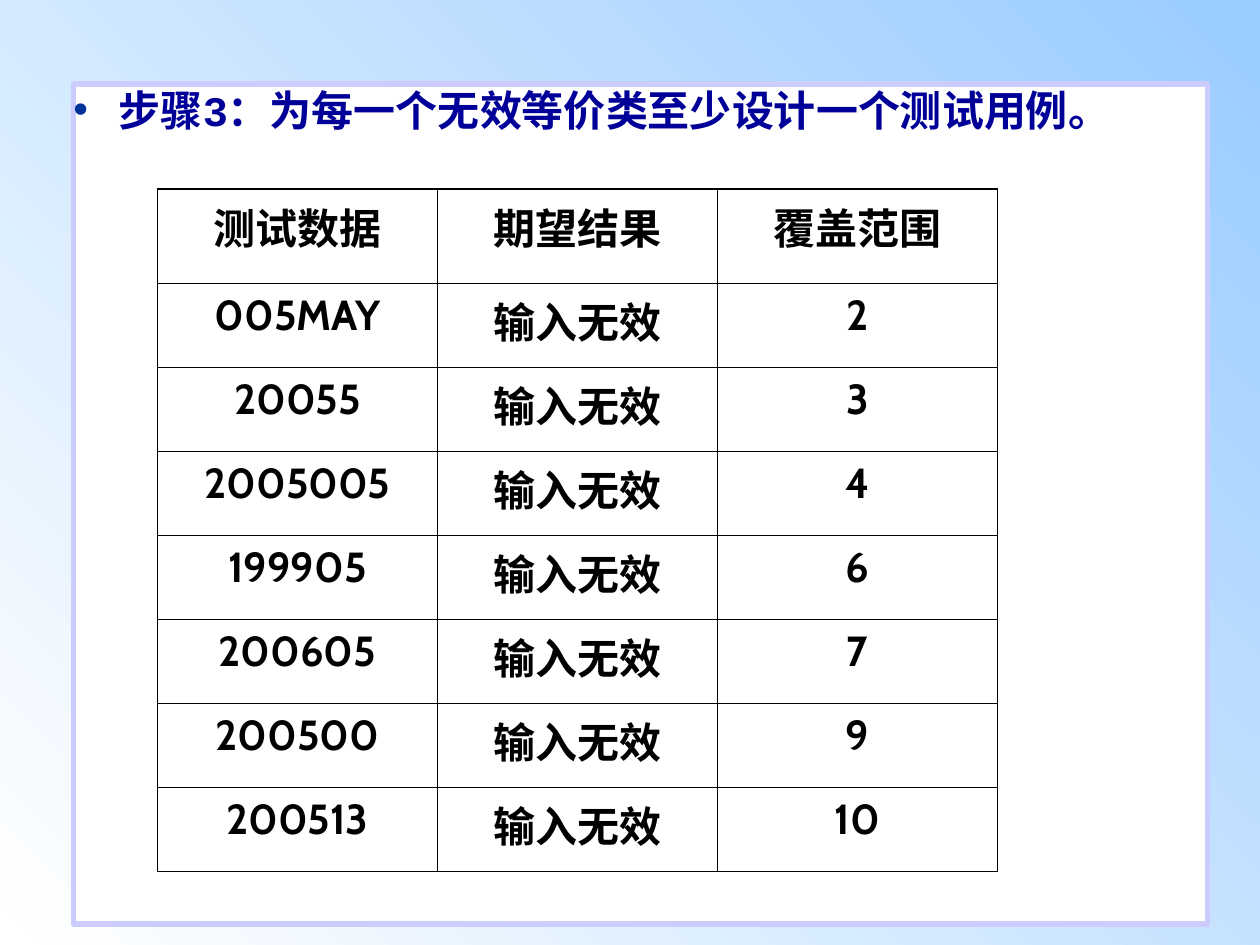
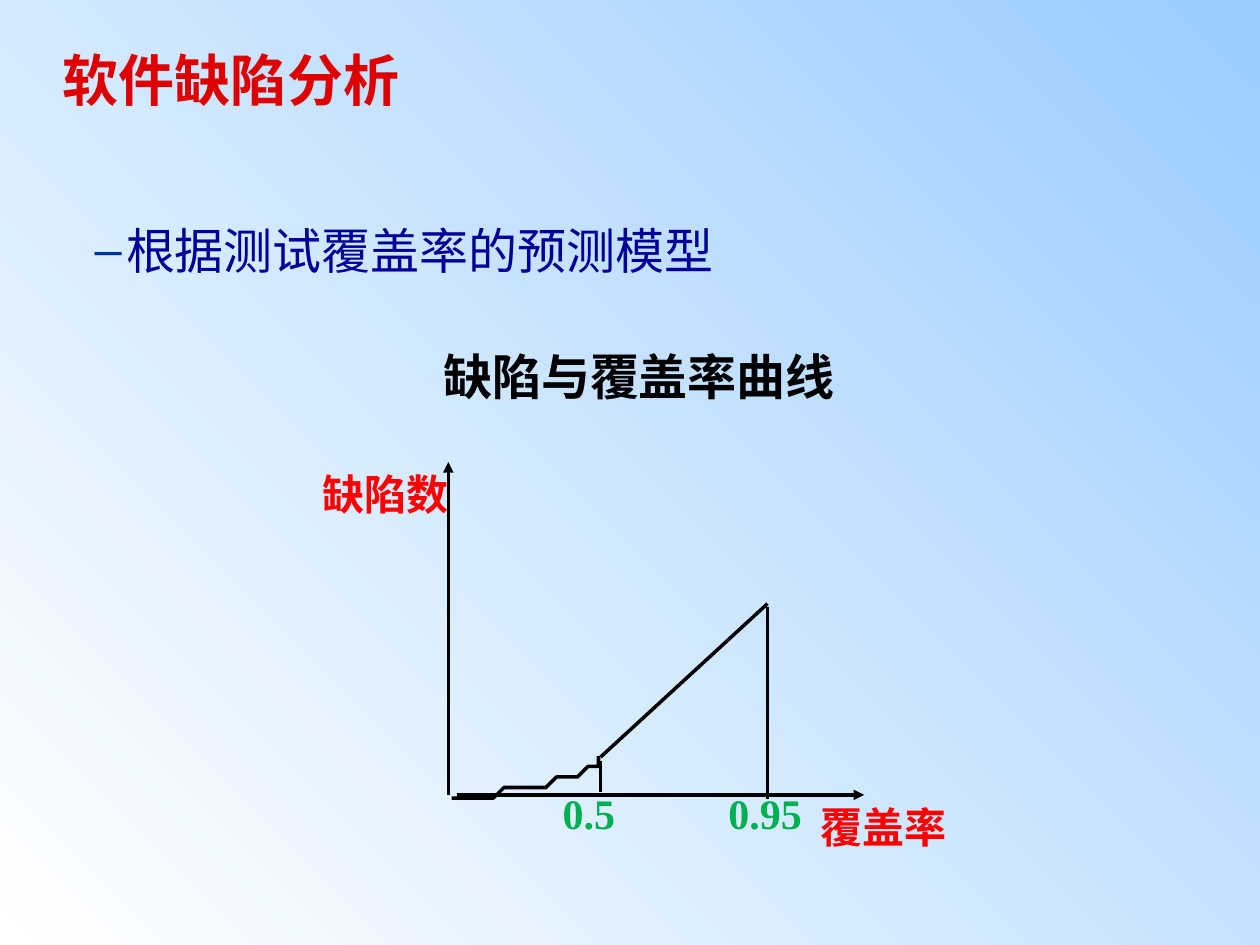
"""Build two slides: a table of invalid-class test cases and a defect-coverage curve."""
import lxml.etree
import pptx
import pptx.dml.color
import pptx.enum.shapes
import pptx.enum.text
import pptx.oxml
import pptx.oxml.ns
import pptx.util

NAVY, BULLET, BLACK, WHITE = "000099", "003399", "000000", "FFFFFF"
TITLE_RED, LABEL_RED, GREEN = "DE0000", "FF0000", "00B050"
SKY, FRAME = "99CCFF", "CCCCFF"
HEADING_FONT, TABLE_FONT, CHART_FONT = "Courier New", "Cabin", "Times New Roman"
TOP, MIDDLE = pptx.enum.text.MSO_ANCHOR.TOP, pptx.enum.text.MSO_ANCHOR.MIDDLE
LEFT, CENTER, JUSTIFY = (pptx.enum.text.PP_ALIGN.LEFT, pptx.enum.text.PP_ALIGN.CENTER,
                         pptx.enum.text.PP_ALIGN.JUSTIFY)
DRAWING = pptx.oxml.ns.nsdecls("a")


def color(value):
    return pptx.dml.color.RGBColor.from_string(value)


def write(frame, text, size, font, ink, bold=True, align=LEFT, before=0,
          anchor=TOP, inset=(0, 0), bullet=None, hang=(0, 0)):
    frame.word_wrap = True
    frame.vertical_anchor = anchor
    frame.margin_left = frame.margin_right = pptx.util.Inches(inset[0])
    frame.margin_top = frame.margin_bottom = pptx.util.Inches(inset[1])
    para = frame.paragraphs[0]
    para.text = text
    para.alignment = align
    para.space_before = pptx.util.Pt(before)
    para.font.size = pptx.util.Pt(size)
    para.font.name = font
    para.font.bold = bold
    para.font.color.rgb = color(ink)
    if bullet:
        properties = para._p.get_or_add_pPr()
        properties.set("marL", str(pptx.util.Inches(hang[0])))
        properties.set("indent", str(-pptx.util.Inches(hang[1])))
        marks = pptx.oxml.parse_xml(
            f'<a:pPr {DRAWING}><a:buClr><a:srgbClr val="{BULLET}"/></a:buClr>'
            f'<a:buFont typeface="Arial"/><a:buChar char="{bullet}"/></a:pPr>')
        position = list(properties).index(properties.find(pptx.oxml.ns.qn("a:defRPr")))
        properties[position:position] = list(marks)


deck = pptx.Presentation()
deck.slide_width = pptx.util.Inches(10)
deck.slide_height = pptx.util.Inches(7.5)
unit = deck.slide_width // 120

pages = []
for number in range(2):
    page = deck.slides.add_slide(deck.slide_layouts[6])
    backdrop = page.background.fill
    backdrop.gradient()
    backdrop.gradient_angle = 225
    for stop, position, tint in zip(backdrop.gradient_stops, (0, 1), (SKY, WHITE)):
        stop.position = position
        stop.color.rgb = color(tint)
    pages.append(page)
case_page, defect_page = pages

panel = case_page.shapes.add_shape(
    pptx.enum.shapes.MSO_SHAPE.RECTANGLE, 7 * unit, 8 * unit, 108 * unit, 80 * unit)
panel.shadow.inherit = False
panel.fill.solid()
panel.fill.fore_color.rgb = color(WHITE)
panel.line.color.rgb = color(FRAME)
panel.line.width = pptx.util.Pt(3)
write(panel.text_frame, "步骤3：为每一个无效等价类至少设计一个测试用例。", 24,
      HEADING_FONT, NAVY, before=7, bullet="•", hang=(0.36, 0.36))

invalid_cases = [("005MAY", "2"), ("20055", "3"), ("2005005", "4"), ("199905", "6"),
                 ("200605", "7"), ("200500", "9"), ("200513", "10")]
rows = [("测试数据", "期望结果", "覆盖范围")]
rows += [(data, "输入无效", covered) for data, covered in invalid_cases]
table = case_page.shapes.add_table(
    len(rows), 3, 15 * unit, 18 * unit, 80 * unit, 65 * unit).table
table.first_row = table.horz_banding = False
for column in table.columns:
    column.width = 80 * unit // 3
for row_index, row in enumerate(rows):
    table.rows[row_index].height = (8 if row_index else 9) * unit
    for column_index, text in enumerate(row):
        cell = table.cell(row_index, column_index)
        write(cell.text_frame, text, 24, TABLE_FONT, BLACK, align=CENTER,
              before=6, inset=(0.1, 0.05))
        cell.fill.solid()
        cell.fill.fore_color.rgb = color(WHITE)
        outer_sides = {"L": column_index == 0, "R": column_index == 2,
                       "T": row_index == 0, "B": row_index == len(rows) - 1}
        for order, (side, is_outer) in enumerate(outer_sides.items()):
            width = pptx.util.Pt(1.08 if is_outer else 0.45)
            cell._tc.get_or_add_tcPr().insert(order, pptx.oxml.parse_xml(
                f'<a:ln{side} {DRAWING} w="{width}"><a:solidFill>'
                f'<a:srgbClr val="{BLACK}"/></a:solidFill></a:ln{side}>'))

heading = defect_page.shapes.add_textbox(6 * unit, 0, 108 * unit, 15 * unit)
write(heading.text_frame, "软件缺陷分析", 32, HEADING_FONT, TITLE_RED, anchor=MIDDLE)
topic = defect_page.shapes.add_textbox(6 * unit, 21 * unit, 106 * unit, 66 * unit)
write(topic.text_frame, "根据测试覆盖率的预测模型", 28, HEADING_FONT, NAVY,
      bold=False, bullet="–", hang=(0.5, 0.25))

origin_x, axis_y = 42.7, 75.7
half_x, half_y = 57.2, 72.1
full_x, full_y = 73.1, 57.5
chart_lines = [
    (origin_x + 0.8, axis_y, 82.3, axis_y, True),
    (origin_x, axis_y, origin_x, 44, True),
    (half_x, half_y, full_x, full_y, False),
    (half_x, half_y + 0.4, half_x, axis_y - 0.3, False),
    (full_x, full_y + 0.3, full_x, axis_y + 0.4, False),
]
for *ends, has_arrow in chart_lines:
    line = defect_page.shapes.add_connector(
        pptx.enum.shapes.MSO_CONNECTOR.STRAIGHT, *[round(end * unit) for end in ends])
    line.line.color.rgb = color(BLACK)
    line.line.width = pptx.util.Pt(2)
    if has_arrow:
        lxml.etree.SubElement(line.line._get_or_add_ln(),
                              pptx.oxml.ns.qn("a:tailEnd"), type="triangle")
    lxml.etree.SubElement(line._element.spPr, pptx.oxml.ns.qn("a:effectLst"))

controls = [(origin_x, axis_y), (49.4, axis_y), (55.4, 74.2), (half_x, half_y)]
curve_points = []
for step in range(25):
    t = step / 24
    weights = ((1 - t) ** 3, 3 * t * (1 - t) ** 2, 3 * t ** 2 * (1 - t), t ** 3)
    curve_points.append([sum(weight * point[axis] for weight, point in zip(weights, controls))
                         for axis in (0, 1)])
builder = defect_page.shapes.build_freeform(*curve_points[0], scale=unit)
builder.add_line_segments(curve_points[1:], close=False)
curve = builder.convert_to_shape()
curve.shadow.inherit = False
curve.fill.background()
curve.line.color.rgb = color(BLACK)
curve.line.width = pptx.util.Pt(2)

chart_labels = [
    ("缺陷数", 29.5, 44, 15, LABEL_RED),
    ("覆盖率", 77, axis_y, 15, LABEL_RED),
    ("0.5", 52.4, 74.4, 10.6, GREEN),
    ("0.95", 68.2, 74.4, 10.6, GREEN),
]
for text, left, top, width, ink in chart_labels:
    label = defect_page.shapes.add_textbox(
        round(left * unit), round(top * unit), round(width * unit), round(8.5 * unit))
    write(label.text_frame, text, 24, CHART_FONT, ink, align=JUSTIFY, inset=(0.1, 0.05))

caption = defect_page.shapes.add_textbox(
    round(41.5 * unit), round(32.4 * unit), round(42.7 * unit), round(6.8 * unit))
write(caption.text_frame, "缺陷与覆盖率曲线", 28, CHART_FONT, BLACK, inset=(0.06, 0.05))

deck.save("out.pptx")
